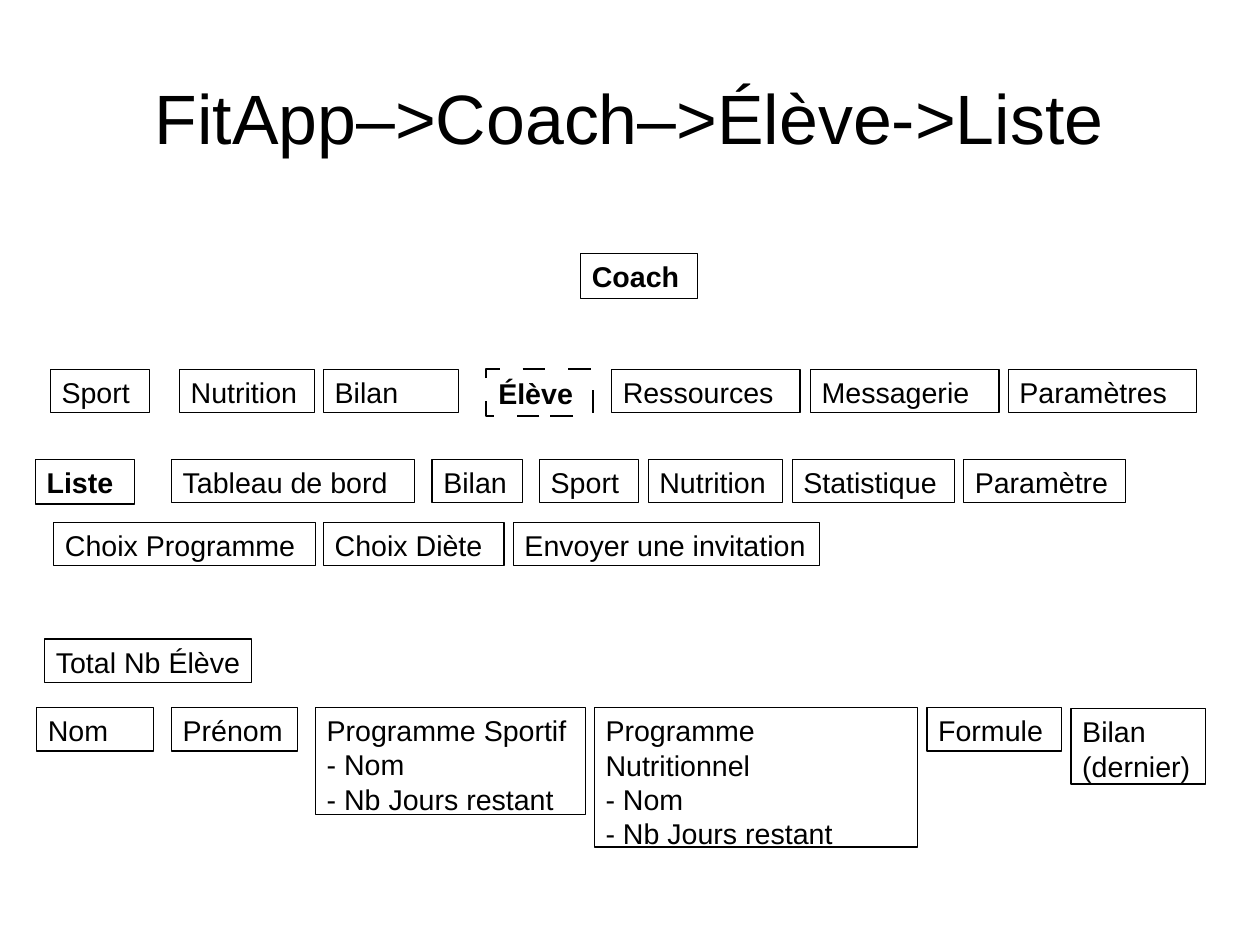
from dataclasses import dataclass

from lxml import etree
from pptx import Presentation
from pptx import util as u
from pptx.dml.color import RGBColor
from pptx.enum import shapes, text
from pptx.oxml import ns

INK = "000000"
PAPER = "FFFFFF"
FONT = "Arial"
CM_PER_INCH = 2.54


@dataclass
class Box:
    label: str
    left: float
    width: float
    height: float = 0.38
    bold: bool = False
    dashed: bool = False
    drop: float = 0


ROWS: dict[float, list[Box]] = {
    2.22: [Box("Coach", 5.08, 1.02, 0.39, bold=True)],
    3.23: [
        Box("Sport", 0.44, 0.87),
        Box("Nutrition", 1.57, 1.18),
        Box("Bilan", 2.83, 1.18),
        Box("Élève", 4.25, 0.94, 0.41, bold=True, dashed=True),
        Box("Ressources", 5.35, 1.65),
        Box("Messagerie", 7.09, 1.65),
        Box("Paramètres", 8.82, 1.65),
    ],
    4.02: [
        Box("Liste", 0.31, 0.87, 0.39, bold=True),
        Box("Tableau de bord", 1.5, 2.13),
        Box("Bilan", 3.78, 0.79),
        Box("Sport", 4.72, 0.87),
        Box("Nutrition", 5.67, 1.18),
        Box("Statistique", 6.93, 1.42),
        Box("Paramètre", 8.43, 1.42),
    ],
    4.57: [
        Box("Choix Programme", 0.47, 2.29),
        Box("Choix Diète", 2.83, 1.58),
        Box("Envoyer une invitation", 4.49, 2.68),
    ],
    5.59: [Box("Total Nb Élève", 0.39, 1.81)],
    6.19: [
        Box("Nom", 0.32, 1.02),
        Box("Prénom", 1.5, 1.1),
        Box("Programme Sportif\n- Nom\n- Nb Jours restant", 2.76, 2.36, 0.94),
        Box("Programme Nutritionnel\n- Nom\n- Nb Jours restant", 5.2, 2.83, 1.22),
        Box("Formule", 8.11, 1.18),
        Box("Bilan\n(dernier)", 9.37, 1.18, 0.66, drop=0.01),
    ],
}


def rgb(value: str) -> RGBColor:
    return RGBColor.from_string(value)


def set_all(target, values: dict) -> None:
    for name, value in values.items():
        setattr(target, name, value)


def write(tf, label: str, size: float, align, bold: bool, frame: dict) -> None:
    set_all(tf, {"word_wrap": True, "auto_size": text.MSO_AUTO_SIZE.NONE, **frame})
    p = tf.paragraphs[0]
    p.text = label
    p.alignment = align
    for r in p.runs:
        set_all(r.font, {"name": FONT, "size": u.Pt(size), "bold": bold})
        r.font.color.rgb = rgb(INK)


def dash(sp) -> None:
    ln = sp.element.spPr.find(ns.qn("a:ln"))
    cust = etree.SubElement(ln, ns.qn("a:custDash"))
    etree.SubElement(cust, ns.qn("a:ds"), d="960000", sp="960000")


def draw_box(s, box: Box, top: float) -> None:
    sp = s.shapes.add_shape(
        shapes.MSO_SHAPE.RECTANGLE,
        *map(u.Inches, (box.left, top + box.drop, box.width, box.height)),
    )
    sp.shadow.inherit = False
    sp.fill.background()
    sp.line.color.rgb = rgb(INK)
    sp.line.width = u.Pt(1.5 if box.dashed else 0)
    if box.dashed:
        dash(sp)
    edge = 0.01 if box.dashed else 0
    frame = {
        "margin_left": u.Inches(0.1 + edge),
        "margin_right": u.Inches(0.12 if "\n" in box.label else 0.05),
        "margin_top": u.Inches(0.05 + edge),
        "margin_bottom": u.Inches(0.05 + edge),
        "vertical_anchor": text.MSO_ANCHOR.TOP,
    }
    write(sp.text_frame, box.label, 18, text.PP_ALIGN.LEFT, box.bold, frame)


def draw_title(s, label: str) -> None:
    sp = s.shapes.title
    set_all(sp, {
        "left": u.Inches(0.55),
        "top": u.Inches(0.33),
        "width": u.Inches(9.92),
        "height": u.Inches(1.38),
    })
    frame = {f"margin_{side}": 0 for side in ("left", "right", "top", "bottom")}
    frame["vertical_anchor"] = text.MSO_ANCHOR.MIDDLE
    write(sp.text_frame, label, 44, text.PP_ALIGN.CENTER, False, frame)


def main() -> None:
    prs = Presentation()
    prs.slide_width = u.Inches(28 / CM_PER_INCH)
    prs.slide_height = u.Inches(21 / CM_PER_INCH)
    s = prs.slides.add_slide(prs.slide_layouts.get_by_name("Title Only"))
    s.background.fill.solid()
    s.background.fill.fore_color.rgb = rgb(PAPER)
    draw_title(s, "FitApp–>Coach–>Élève->Liste")
    for top, boxes in ROWS.items():
        for box in boxes:
            draw_box(s, box, top)
    prs.save("out.pptx")


if __name__ == "__main__":
    main()
